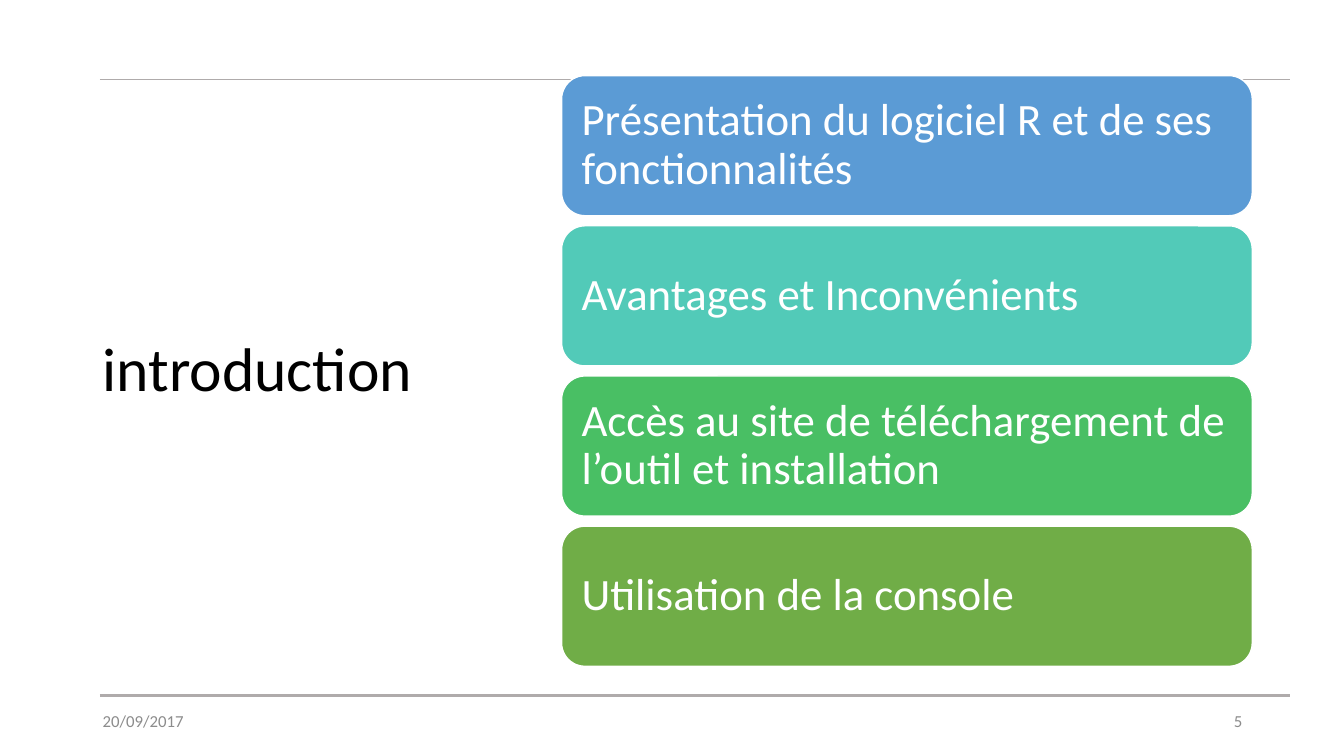
from lxml import etree
from pptx import Presentation
from pptx.dml.color import RGBColor
from pptx.enum.shapes import MSO_CONNECTOR, MSO_SHAPE
from pptx.enum.text import MSO_ANCHOR, PP_ALIGN
from pptx.oxml.ns import qn
from pptx.util import Inches, Pt

COLORS = {
    "white": "FFFFFF",
    "black": "000000",
    "rule": "AFABAB",
    "footer": "8C8C8C",
    "blue": "5B9BD5",
    "teal": "52CAB8",
    "green": "49BF64",
    "olive": "70AD47",
}


class SlideBuilder:
    font_name = "Calibri"

    def __init__(self, slide):
        self.slide = slide

    def color(self, name):
        return RGBColor.from_string(COLORS[name])

    def set_text(self, shape, text, size, color, align=PP_ALIGN.LEFT, line_spacing=1.0):
        text_frame = shape.text_frame
        text_frame.word_wrap = True
        text_frame.vertical_anchor = MSO_ANCHOR.MIDDLE
        text_frame.text = text
        paragraph = text_frame.paragraphs[0]
        paragraph.alignment = align
        paragraph.line_spacing = line_spacing
        font = paragraph.runs[0].font
        font.name = self.font_name
        font.size = Pt(size)
        font.color.rgb = self.color(color)

    def rule(self, top, width):
        y = Inches(top)
        connector = self.slide.shapes.add_connector(
            MSO_CONNECTOR.STRAIGHT, Inches(0.99), y, Inches(12.79), y)
        connector.line.color.rgb = self.color("rule")
        connector.line.width = Pt(width)
        etree.SubElement(connector._element.spPr, qn("a:effectLst"))

    def label(self, box, text, size, color, **style):
        shape = self.slide.shapes.add_textbox(*(Inches(value) for value in box))
        self.set_text(shape, text, size, color, **style)

    def card(self, box, text, fill):
        shape = self.slide.shapes.add_shape(
            MSO_SHAPE.ROUNDED_RECTANGLE, *(Inches(value) for value in box))
        shape.shadow.inherit = False
        shape.fill.solid()
        shape.fill.fore_color.rgb = self.color(fill)
        shape.line.color.rgb = self.color("white")
        shape.line.width = Pt(1)
        text_frame = shape.text_frame
        text_frame.margin_left = text_frame.margin_right = Inches(0.13)
        text_frame.margin_top = text_frame.margin_bottom = Inches(0.13)
        self.set_text(shape, text, 32, "white", line_spacing=0.9)


def main():
    presentation = Presentation()
    presentation.slide_width = Inches(13.33)
    presentation.slide_height = Inches(7.5)
    slide = presentation.slides.add_slide(presentation.slide_layouts[6])
    builder = SlideBuilder(slide)

    builder.rule(0.79, 1.25)
    builder.rule(6.9, 1.5)
    builder.label((0.92, 0.68, 3.69, 6.02), "introduction", 44, "black", line_spacing=0.9)
    builder.label((0.92, 6.95, 3, 0.4), "20/09/2017", 12, "footer")
    builder.label((9.42, 6.95, 3, 0.4), "5", 12, "footer", align=PP_ALIGN.RIGHT)

    topics = [
        ("Présentation du logiciel R et de ses fonctionnalités", "blue"),
        ("Avantages et Inconvénients", "teal"),
        ("Accès au site de téléchargement de l’outil et installation", "green"),
        ("Utilisation de la console", "olive"),
    ]
    card_top, card_height, card_gap = 0.75, 1.39, 0.1
    for index, (topic, fill) in enumerate(topics):
        top = card_top + index * (card_height + card_gap)
        builder.card((5.57, top, 6.85, card_height), topic, fill)

    presentation.save("out.pptx")


if __name__ == "__main__":
    main()
